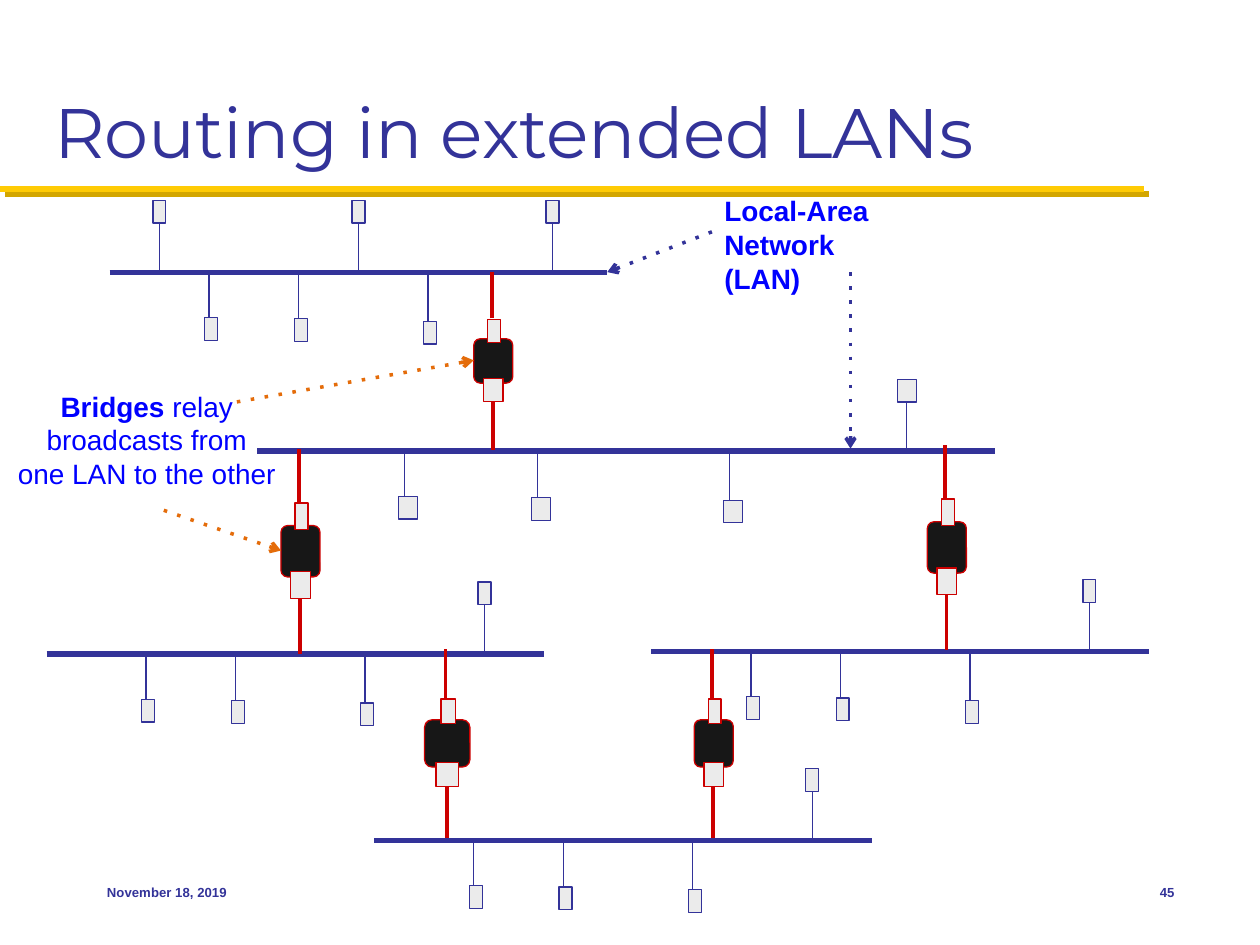
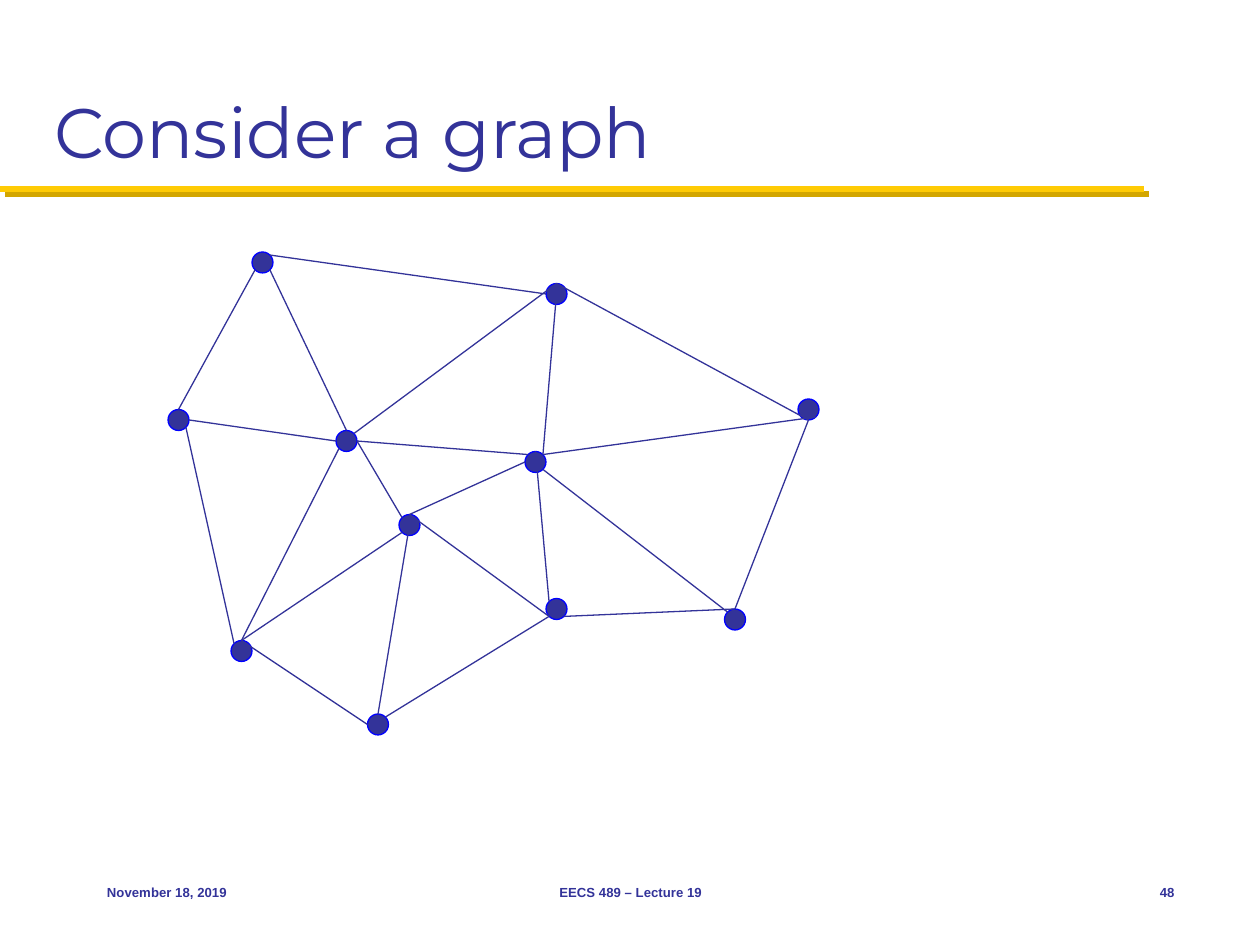
from dataclasses import dataclass

from lxml.etree import SubElement
from pptx import Presentation
from pptx.dml.color import RGBColor
from pptx.enum.shapes import MSO_CONNECTOR, MSO_SHAPE
from pptx.enum.text import MSO_ANCHOR, PP_ALIGN
from pptx.oxml.ns import qn
from pptx.util import Inches, Pt


@dataclass(frozen=True)
class Theme:
    navy: str = "333399"
    blue: str = "0000FF"
    gold: str = "FFCB05"
    dark_gold: str = "D3A600"
    orange: str = "E46C0A"
    red: str = "CC0000"
    black: str = "171717"
    gray: str = "EBEBEB"
    title_font: str = "Montserrat"
    body_font: str = "Arial"
    title_size: float = 40
    label_size: float = 16
    footer_size: float = 7.5
    thin: float = 0.75
    pointer: float = 2
    cable: float = 2.25
    bus: float = 3
    rule: float = 3.5


THEME = Theme()
COLUMNS, ROWS = 10, 7.5
GRAPH_STEP = 1 / 12

DROPS = ((0.2, 0.36), (0.38, 0.37), (0.64, 0.39))
LAST_RISER = (0.88,)
LANS = (
    (0.87, 3.95, 2.16, (0.1, 0.5, 0.89)),
    (2.04, 5.86, 3.58, LAST_RISER),
    (0.37, 3.95, 5.19, LAST_RISER),
    (5.17, 3.95, 5.17, LAST_RISER),
    (2.97, 3.95, 6.67, LAST_RISER),
)
BRIDGES = (
    (3.76, 2.16, 0.31, 1.41),
    (2.23, 3.56, 0.31, 1.63),
    (3.37, 5.15, 0.36, 1.5),
    (7.36, 3.53, 0.31, 1.63),
    (5.51, 5.15, 0.31, 1.5),
)
POINTERS = (
    ((5.65, 1.84), (4.82, 2.16), THEME.navy),
    ((6.75, 2.16), (6.75, 3.56), THEME.navy),
    ((1.3, 4.05), (2.23, 4.37), THEME.orange),
    ((1.88, 3.19), (3.76, 2.86), THEME.orange),
)

NODES = {
    "A": (25, 25), "B": (17, 40), "C": (53, 28), "D": (53, 58),
    "E": (36, 69), "F": (33, 42), "G": (77, 39), "H": (39, 50),
    "I": (23, 62), "J": (51, 44), "K": (70, 59),
}
SITES = {
    "c": (0, 0), "n": (0, -1), "e": (1, 0), "s": (0, 1), "w": (-1, 0),
    "ne": (0.71, -0.71), "se": (0.71, 0.71),
    "sw": (-0.71, 0.71), "nw": (-0.71, -0.71),
}
EDGES = (
    "A.se F.n", "A.sw B.n", "B.se I.nw", "F.e H.nw", "J.se K.nw",
    "C.c J.ne", "C.n G.s", "G.s K.n", "I.n E.w", "H.n D.sw",
    "K.n D.se", "J.n D.nw", "H.c E.n", "F.e J.nw", "B.e F.w",
    "I.n H.sw", "E.ne D.sw", "I.n F.sw", "H.n J.w", "J.ne G.se",
    "A.ne C.w", "F.ne C.n",
)


def color(code):
    return RGBColor.from_string(code)


def grid(*cells):
    return [Inches(cell) for cell in cells]


def add_line(shapes, start, end, line_color, width):
    line = shapes.add_connector(MSO_CONNECTOR.STRAIGHT, *grid(*start, *end))
    line.line.color.rgb = color(line_color)
    line.line.width = Pt(width)
    SubElement(line._element.spPr, qn("a:effectLst"))
    return line


def add_pointer(shapes, start, end, line_color):
    pointer = add_line(shapes, start, end, line_color, THEME.pointer)
    outline = pointer.line._get_or_add_ln()
    SubElement(outline, qn("a:prstDash"), val="dot")
    SubElement(outline, qn("a:tailEnd"), type="arrow")


def add_block(shapes, kind, frame, fill, outline):
    block = shapes.add_shape(kind, *grid(*frame))
    block.shadow.inherit = False
    block.fill.solid()
    block.fill.fore_color.rgb = color(fill)
    block.line.color.rgb = color(outline)
    block.line.width = Pt(THEME.thin)


def add_span(para, text, font, size, font_color, bold=False):
    span = para.add_run()
    span.text = text
    span.font.name = font
    span.font.size = Pt(size)
    span.font.bold = bold
    span.font.color.rgb = color(font_color)


def add_text(slide, frame, lines, size, font_color,
             align=PP_ALIGN.LEFT, anchor=MSO_ANCHOR.TOP, wrap=True):
    box = slide.shapes.add_textbox(*grid(*frame))
    box.text_frame.word_wrap = wrap
    box.text_frame.vertical_anchor = anchor
    para = box.text_frame.paragraphs[0]
    para.alignment = align
    for index, spans in enumerate(lines):
        if index:
            para.add_line_break()
        for text, bold in spans:
            add_span(para, text, THEME.body_font, size, font_color, bold)


def add_gold_rule(slide):
    rule = add_line(slide.shapes, (0, 1.5), (9.08, 1.5), THEME.gold, THEME.rule)
    effects = rule._element.spPr.find(qn("a:effectLst"))
    shadow = SubElement(effects, qn("a:outerShdw"), blurRad="0",
                        dist=str(Pt(4.2)), dir=str(45 * 60000),
                        algn="ctr", rotWithShape="0")
    SubElement(shadow, qn("a:srgbClr"), val=THEME.dark_gold)


def add_footer(slide, left, width, text, align):
    add_text(slide, (left, 6.83, width, 0.5), [[(text, True)]],
             THEME.footer_size, THEME.navy, align, MSO_ANCHOR.MIDDLE)


def add_page(deck, heading, number, course=None):
    slide = deck.slides.add_slide(deck.slide_layouts.get_by_name("Title Only"))
    add_gold_rule(slide)
    title = slide.shapes.title
    title.left, title.top, title.width, title.height = grid(0.33, 0.17, 9.33, 1.25)
    title.text_frame.vertical_anchor = MSO_ANCHOR.BOTTOM
    para = title.text_frame.paragraphs[0]
    para.alignment = PP_ALIGN.LEFT
    add_span(para, heading, THEME.title_font, THEME.title_size, THEME.navy)
    add_footer(slide, 0.75, 2.08, "November 18, 2019", PP_ALIGN.LEFT)
    if course:
        add_footer(slide, 3.42, 3.17, course, PP_ALIGN.CENTER)
    add_footer(slide, 8.75, 0.67, number, PP_ALIGN.RIGHT)
    return slide


def add_station(shapes, x, bus, top, left, width):
    add_line(shapes, (x, bus), (x, top), THEME.navy, THEME.thin)
    add_block(shapes, MSO_SHAPE.RECTANGLE, (left, top, width, 0.18),
              THEME.gray, THEME.navy)


def add_lan(slide, left, width, bus, risers):
    shapes = slide.shapes.add_group_shape().shapes
    add_line(shapes, (left, bus), (left + width, bus), THEME.navy, THEME.bus)
    station = width * 0.026
    for share in risers:
        x = left + width * share
        add_station(shapes, x, bus, bus - 0.57, x - station / 2, station)
    for share, depth in DROPS:
        x = left + width * share
        add_station(shapes, x, bus, bus + depth, x - station / 3, station)


def add_bridge(slide, left, top, width, height):
    shapes = slide.shapes.add_group_shape().shapes

    def at(across, down):
        return left + width * across, top + height * down

    def add_part(kind, across, down, wide, tall, fill):
        frame = (*at(across, down), width * wide, height * tall)
        add_block(shapes, kind, frame, fill, THEME.red)

    def add_cable(across, start, end):
        add_line(shapes, at(across, start), at(across, end), THEME.red, THEME.cable)

    add_part(MSO_SHAPE.ROUNDED_RECTANGLE, 0, 0.375, 1, 0.25, THEME.black)
    add_part(MSO_SHAPE.RECTANGLE, 0.36, 0.265, 0.33, 0.13, THEME.gray)
    add_cable(0.46, 0.26, 0)
    add_cable(0.49, 0.63, 1)
    add_part(MSO_SHAPE.RECTANGLE, 0.25, 0.6, 0.5, 0.13, THEME.gray)


def build_routing(deck):
    slide = add_page(deck, "Routing in extended LANs", "45")
    for lan in LANS:
        add_lan(slide, *lan)
    for bridge in BRIDGES:
        add_bridge(slide, *bridge)
    add_text(slide, (5.65, 1.49, 1.72, 0.71),
             [[("Local-Area", True)], [("Network (LAN)", True)]],
             THEME.label_size, THEME.blue)
    add_text(slide, (0.03, 3.04, 2.27, 0.91),
             [[("Bridges", True), (" relay", False)],
              [("broadcasts from", False)],
              [("one LAN to the other", False)]],
             THEME.label_size, THEME.blue, PP_ALIGN.CENTER, wrap=False)
    for pointer in POINTERS:
        add_pointer(slide.shapes, *pointer)


def node_site(name):
    node, site = name.split(".")
    return [(center + shift) * GRAPH_STEP
            for center, shift in zip(NODES[node], SITES[site])]


def build_graph(deck):
    slide = add_page(deck, "Consider a graph", "48", "EECS 489 – Lecture 19")
    shapes = slide.shapes.add_group_shape().shapes
    for column, row in NODES.values():
        frame = [cells * GRAPH_STEP for cells in (column - 1, row - 1, 2, 2)]
        add_block(shapes, MSO_SHAPE.OVAL, frame, THEME.navy, THEME.blue)
    for edge in EDGES:
        start, end = map(node_site, edge.split())
        add_line(shapes, start, end, THEME.navy, THEME.thin)


def main():
    deck = Presentation()
    deck.slide_width, deck.slide_height = grid(COLUMNS, ROWS)
    build_routing(deck)
    build_graph(deck)
    deck.save("out.pptx")


main()
